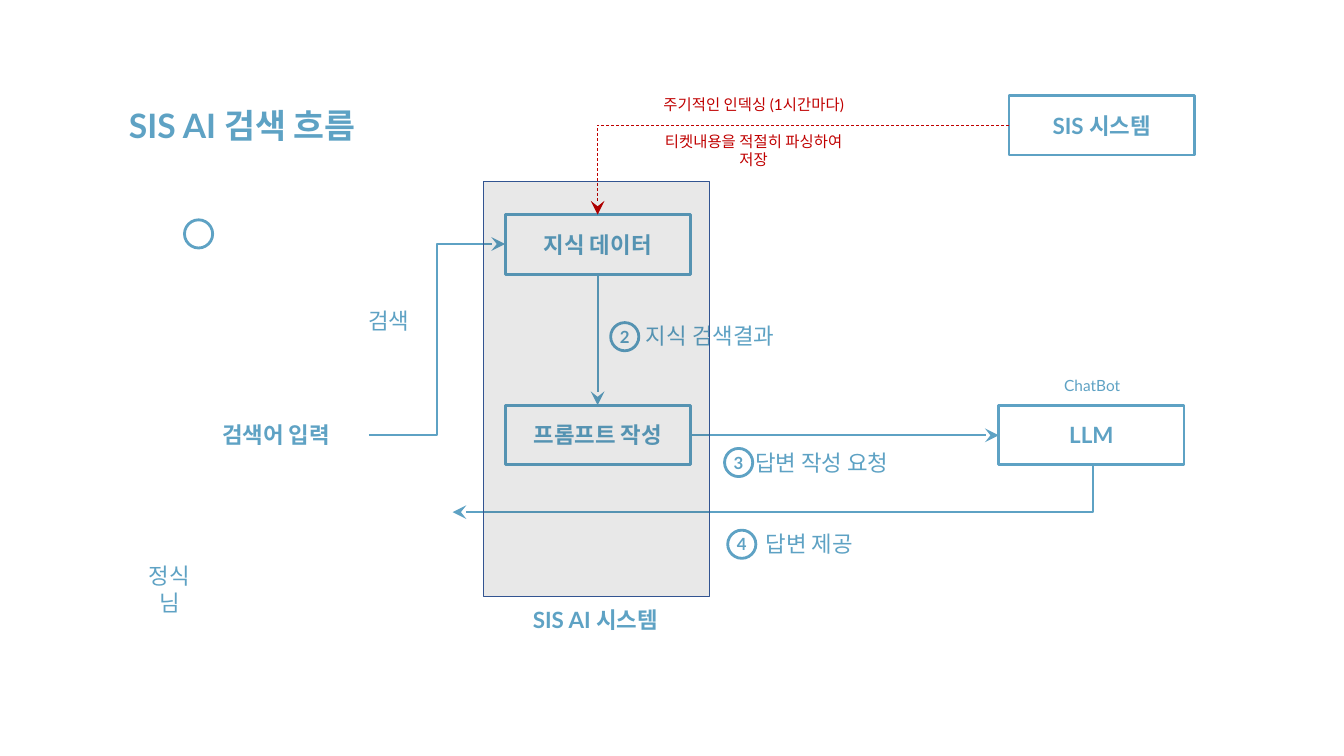
from dataclasses import dataclass
from typing import Any

from lxml import etree
from pptx import Presentation
from pptx.dml.color import RGBColor
from pptx.enum.dml import MSO_LINE
from pptx.enum.shapes import MSO_CONNECTOR, MSO_SHAPE
from pptx.enum.text import MSO_ANCHOR, MSO_AUTO_SIZE, PP_ALIGN
from pptx.oxml.ns import qn
from pptx.util import Cm, Pt

BLUE = RGBColor(0x5E, 0xA2, 0xC4)
RED = RGBColor(0xC0, 0x00, 0x00)
NAVY = RGBColor(0x32, 0x54, 0x91)
BLACK = RGBColor(0x00, 0x00, 0x00)
RECTANGLE, OVAL = MSO_SHAPE.RECTANGLE, MSO_SHAPE.OVAL
STRAIGHT, ELBOW = MSO_CONNECTOR.STRAIGHT, MSO_CONNECTOR.ELBOW
LEFT, CENTER = PP_ALIGN.LEFT, PP_ALIGN.CENTER
MIDDLE = MSO_ANCHOR.MIDDLE
FIT_TEXT = MSO_AUTO_SIZE.SHAPE_TO_FIT_TEXT
DASH = MSO_LINE.DASH
FONT = "Lato"
BOX_WIDTH, BOX_HEIGHT = 4.67, 1.5
BADGE_SIZE = 0.71
NO_INSETS = {"margin_left": 0, "margin_right": 0, "margin_top": 0, "margin_bottom": 0}


@dataclass
class Node:
    text: str
    left: float
    top: float
    width: float = BOX_WIDTH
    height: float = BOX_HEIGHT
    kind: Any = RECTANGLE
    size: int = 16


@dataclass
class Label:
    text: str
    left: float
    top: float
    width: float
    size: int = 16
    bold: bool = False
    color: RGBColor = BLUE
    align: Any = CENTER


@dataclass
class Arrow:
    begin: tuple[float, float]
    end: tuple[float, float]
    kind: Any = STRAIGHT
    corner_turn: int = 0
    color: RGBColor = BLUE
    width: float = 1.5
    dash: Any = None


def badge(number: str, left: float, top: float) -> Node:
    return Node(number, left, top, BADGE_SIZE, BADGE_SIZE, OVAL, 12)


BOXES = [
    Node("지식 데이터", 12.73, 5.41),
    Node("LLM", 25.17, 10.21),
    Node("프롬프트 작성", 12.73, 10.21),
    Node("SIS 시스템", 25.43, 2.41),
]
BADGES = [
    badge("", 4.65, 5.54),
    badge("2", 15.39, 8.13),
    badge("3", 18.26, 11.3),
    badge("4", 18.34, 13.36),
]
ARROWS = [
    Arrow((9.3, 10.97), (12.73, 6.15), ELBOW),
    Arrow((17.4, 10.97), (25.17, 10.97)),
    Arrow((15.06, 6.91), (15.06, 10.21)),
    Arrow((15.06, 5.41), (25.43, 3.15), ELBOW, 180, RED, 0.5, DASH),
    Arrow((18.87, 4.24), (20.07, 20.37), ELBOW, 90),
]
LABELS = [
    Label("SIS AI 검색 흐름", 3, 2.51, 7.39, 24, True, align=LEFT),
    Label("검색", 8.81, 7.62, 1.98),
    Label("검색어 입력", 4.62, 10.49, 4.67, bold=True),
    Label("ChatBot", 25.91, 9.35, 3.23, 11),
    Label("답변 작성 요청", 18.69, 11.2, 4.04),
    Label("지식 검색결과", 16.03, 8, 4.67, align=LEFT),
    Label("주기적인 인덱싱 (1시간마다)", 16.15, 2.26, 5.69, 11, color=RED),
    Label("티켓내용을 적절히 파싱하여 저장", 16.15, 3.2, 5.69, 11, color=RED),
    Label("답변 제공", 18.77, 13.23, 3.25),
    Label("정식님", 3.28, 14.05, 1.98),
]
PANEL = Node("", 12.19, 4.57, 5.69, 10.46)
PANEL_CAPTION = Label("SIS AI 시스템", 12.67, 15.16, 4.67, bold=True)


def apply(target: Any, formats: dict[str, Any]) -> None:
    for name, value in formats.items():
        setattr(target, name, value)


def write(frame: Any, text: str, size: int, bold: bool, color: RGBColor, align: Any) -> None:
    paragraph = frame.paragraphs[0]
    paragraph.alignment = align
    run = paragraph.add_run()
    run.text = text
    apply(run.font, {"name": FONT, "size": Pt(size), "bold": bold})
    run.font.color.rgb = color


def draw_node(slide: Any, node: Node, color: RGBColor = BLUE, line_width: float = 2) -> Any:
    outline = slide.shapes.add_shape(
        node.kind, Cm(node.left), Cm(node.top), Cm(node.width), Cm(node.height)
    )
    outline.shadow.inherit = False
    outline.fill.background()
    outline.line.color.rgb = color
    outline.line.width = Pt(line_width)
    if node.text:
        frame = outline.text_frame
        apply(frame, {**NO_INSETS, "word_wrap": False, "vertical_anchor": MIDDLE})
        write(frame, node.text, node.size, True, BLUE, CENTER)
    return outline


def draw_panel(slide: Any, panel: Node) -> None:
    outline = draw_node(slide, panel, NAVY, 1)
    outline.fill.solid()
    outline.fill.fore_color.rgb = BLACK
    tint = outline.fill._xPr.find(qn("a:solidFill"))[0]
    etree.SubElement(tint, qn("a:alpha"), val="9000")


def draw_label(slide: Any, label: Label) -> None:
    height = Pt(1.2 * label.size) + Cm(0.25)
    caption = slide.shapes.add_textbox(Cm(label.left), Cm(label.top), Cm(label.width), height)
    apply(caption.text_frame, {"word_wrap": True, "auto_size": FIT_TEXT})
    write(caption.text_frame, label.text, label.size, label.bold, label.color, label.align)


def draw_arrow(slide: Any, arrow: Arrow) -> None:
    ends = [Cm(value) for value in (*arrow.begin, *arrow.end)]
    connector = slide.shapes.add_connector(arrow.kind, *ends)
    line = connector.line
    line.color.rgb = arrow.color
    apply(line, {"width": Pt(arrow.width), "dash_style": arrow.dash})
    properties = connector._element.spPr
    if arrow.corner_turn:
        properties.find(qn("a:prstGeom")).set("prst", "bentConnector2")
        properties.find(qn("a:xfrm")).set("rot", str(arrow.corner_turn * 60000))
    etree.SubElement(line._get_or_add_ln(), qn("a:tailEnd"), type="stealth", w="lg", len="lg")
    etree.SubElement(properties, qn("a:effectLst"))


def main() -> None:
    deck = Presentation()
    apply(deck, {"slide_width": Cm(33.87), "slide_height": Cm(19.05)})
    slide = deck.slides.add_slide(deck.slide_layouts[6])
    for node in BOXES + BADGES:
        draw_node(slide, node)
    for arrow in ARROWS:
        draw_arrow(slide, arrow)
    for label in LABELS:
        draw_label(slide, label)
    draw_panel(slide, PANEL)
    draw_label(slide, PANEL_CAPTION)
    deck.save("out.pptx")


if __name__ == "__main__":
    main()
